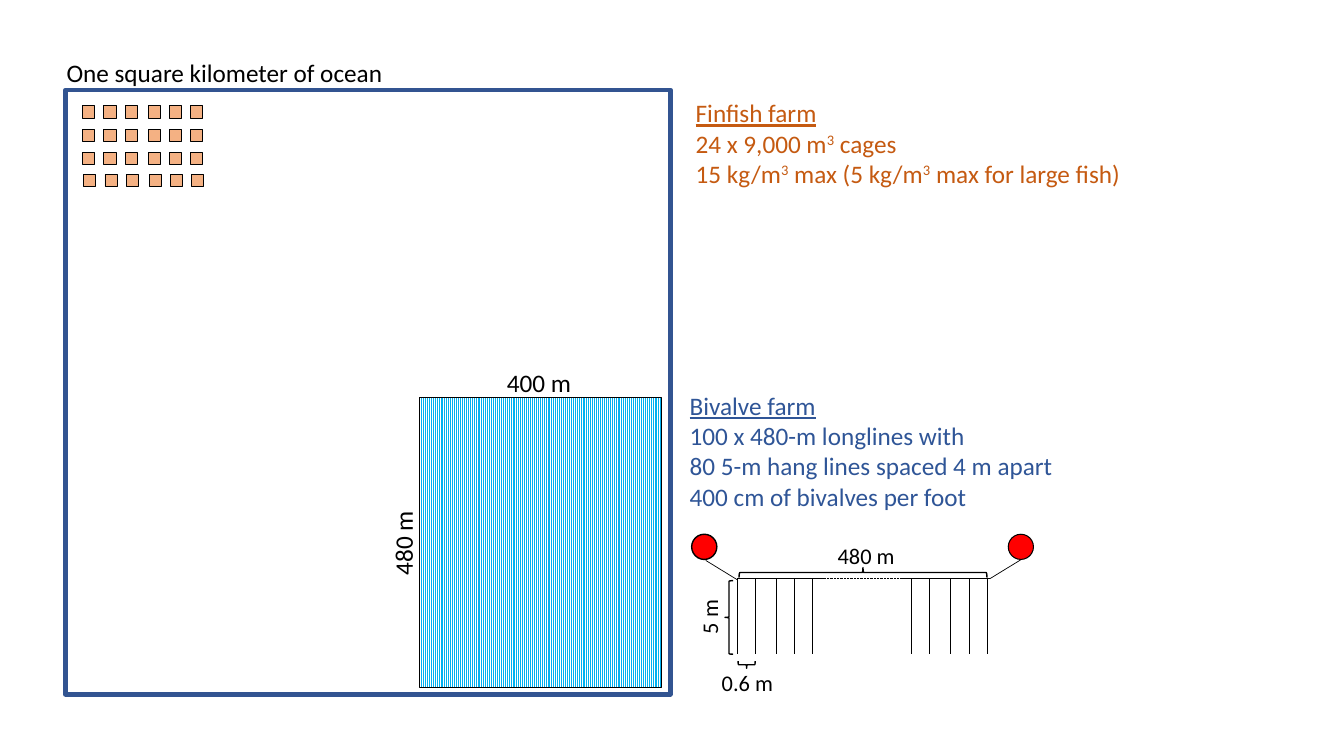
"""Build a slide comparing finfish and bivalve farms in one square kilometer of ocean."""
from lxml.etree import SubElement
from pptx import Presentation
from pptx.dml.color import RGBColor
from pptx.enum.dml import MSO_LINE, MSO_PATTERN
from pptx.enum.shapes import MSO_CONNECTOR, MSO_SHAPE as SHAPE
from pptx.enum.text import MSO_ANCHOR, MSO_AUTO_SIZE, PP_ALIGN
from pptx.oxml.ns import qn
from pptx.util import Pt

PX = 9144
BLACK = RGBColor(0x00, 0x00, 0x00)
WHITE = RGBColor(0xFF, 0xFF, 0xFF)
RED = RGBColor(0xFF, 0x00, 0x00)
FRAME_BLUE = RGBColor(0x32, 0x54, 0x91)
BIVALVE_BLUE = RGBColor(0x2F, 0x55, 0x97)
LONGLINE_BLUE = RGBColor(0x00, 0xB0, 0xF0)
FINFISH_ORANGE = RGBColor(0xC5, 0x5A, 0x11)
CAGE_ORANGE = RGBColor(0xF4, 0xB1, 0x83)

prs = Presentation()
prs.slide_width, prs.slide_height = 1333 * PX, 750 * PX
slide = prs.slides.add_slide(prs.slide_layouts[3])


def add_shape(kind, box, width, line=BLACK, fill=None, rotation=0):
    sp = slide.shapes.add_shape(kind, *[v * PX for v in box])
    sp.shadow.inherit = False
    sp.rotation = rotation
    sp.line.color.rgb = line
    sp.line.width = Pt(width)
    if fill is None:
        sp.fill.background()
    else:
        sp.fill.solid()
        sp.fill.fore_color.rgb = fill
    return sp


def write(sp, box, lines, size=18, color=BLACK, rotation=0):
    sp.left, sp.top, sp.width, sp.height = [v * PX for v in box]
    sp.rotation = rotation
    tf = sp.text_frame
    tf.word_wrap = False
    tf.auto_size = MSO_AUTO_SIZE.NONE
    tf.vertical_anchor = MSO_ANCHOR.TOP
    for i, line in enumerate(lines):
        p = tf.add_paragraph() if i else tf.paragraphs[0]
        p.alignment = PP_ALIGN.LEFT
        p.space_before = Pt(0)
        pPr = p._p.get_or_add_pPr()
        pPr.set("marL", "0")
        pPr.set("indent", "0")
        SubElement(pPr, qn("a:buNone"))
        for j, part in enumerate(line.split("^")):
            r = p.add_run()
            r.text = part
            r.font.name = "Calibri"
            r.font.size = Pt(size)
            r.font.color.rgb = color
            r.font.underline = len(lines) > 1 and i == 0
            if j % 2:
                r._r.get_or_add_rPr().set("baseline", "30000")


title, finfish, bivalve = slide.placeholders
add_shape(SHAPE.RECTANGLE, (65, 89, 600, 600), 3, FRAME_BLUE)
write(title, (56, 52, 337, 40), ["One square kilometer of ocean"])
write(finfish, (680, 92, 448, 101), [
    "Finfish farm",
    "24 x 9,000 m^3^ cages",
    "15 kg/m^3^ max (5 kg/m^3^ max for large fish)",
], color=FINFISH_ORANGE)
write(bivalve, (674, 382, 384, 162), [
    "Bivalve farm",
    "100 x 480-m longlines with",
    "80 5-m hang lines spaced 4 m apart",
    "400 cm of bivalves per foot",
], color=BIVALVE_BLUE)

for left, top in [(82, 105), (82, 128), (82, 151), (83, 173)]:
    for col in range(6):
        x = left + 21 * col + 2 * (col // 3)
        add_shape(SHAPE.RECTANGLE, (x, top, 12, 12), 0.5, fill=CAGE_ORANGE)

farm = add_shape(SHAPE.RECTANGLE, (392, 418, 288, 240), 1, rotation=270)
farm.fill.patterned()
farm.fill.pattern = MSO_PATTERN.LIGHT_VERTICAL
farm.fill.fore_color.rgb = LONGLINE_BLUE
farm.fill.back_color.rgb = WHITE

for left, width in [(686, 1), (1000, 0.75)]:
    add_shape(SHAPE.OVAL, (left, 530, 25, 25), width, fill=RED)

longline = [(731, 574, 817, 574), (896, 574, 982, 574)]
moorings = [(982, 574, 1013, 555), (731, 575, 700, 556)]
hang_lines = [(start + step, 574, start + step, 649)
              for start in (731, 904) for step in (0, 18, 39, 57, 75)]
omitted = (810, 574, 896, 574)
for ends in longline + moorings + hang_lines + [omitted]:
    ln = slide.shapes.add_connector(MSO_CONNECTOR.STRAIGHT, *[v * PX for v in ends])
    ln.line.color.rgb = BLACK
    ln.line.width = Pt(0.5)
    if ends == omitted:
        ln.line.dash_style = MSO_LINE.ROUND_DOT
    SubElement(ln._element.spPr, qn("a:effectLst"))

for box, rotation in [((737, 651, 7, 17), 90), ((719, 576, 8, 73), 180),
                      ((851, 445, 10, 246), 270)]:
    add_shape(SHAPE.RIGHT_BRACE, box, 1, rotation=rotation)

for text, box, size, rotation in [
    ("480 m", (357, 518, 85, 40), 18, 270),
    ("400 m", (493, 359, 85, 40), 18, 0),
    ("480 m", (821, 533, 77, 37), 16, 0),
    ("5 m", (676, 593, 55, 37), 16, 270),
    ("0.6 m", (706, 659, 72, 37), 16, 0),
]:
    label = slide.shapes.add_textbox(0, 0, PX, PX)
    write(label, box, [text], size, rotation=rotation)

prs.save("out.pptx")
